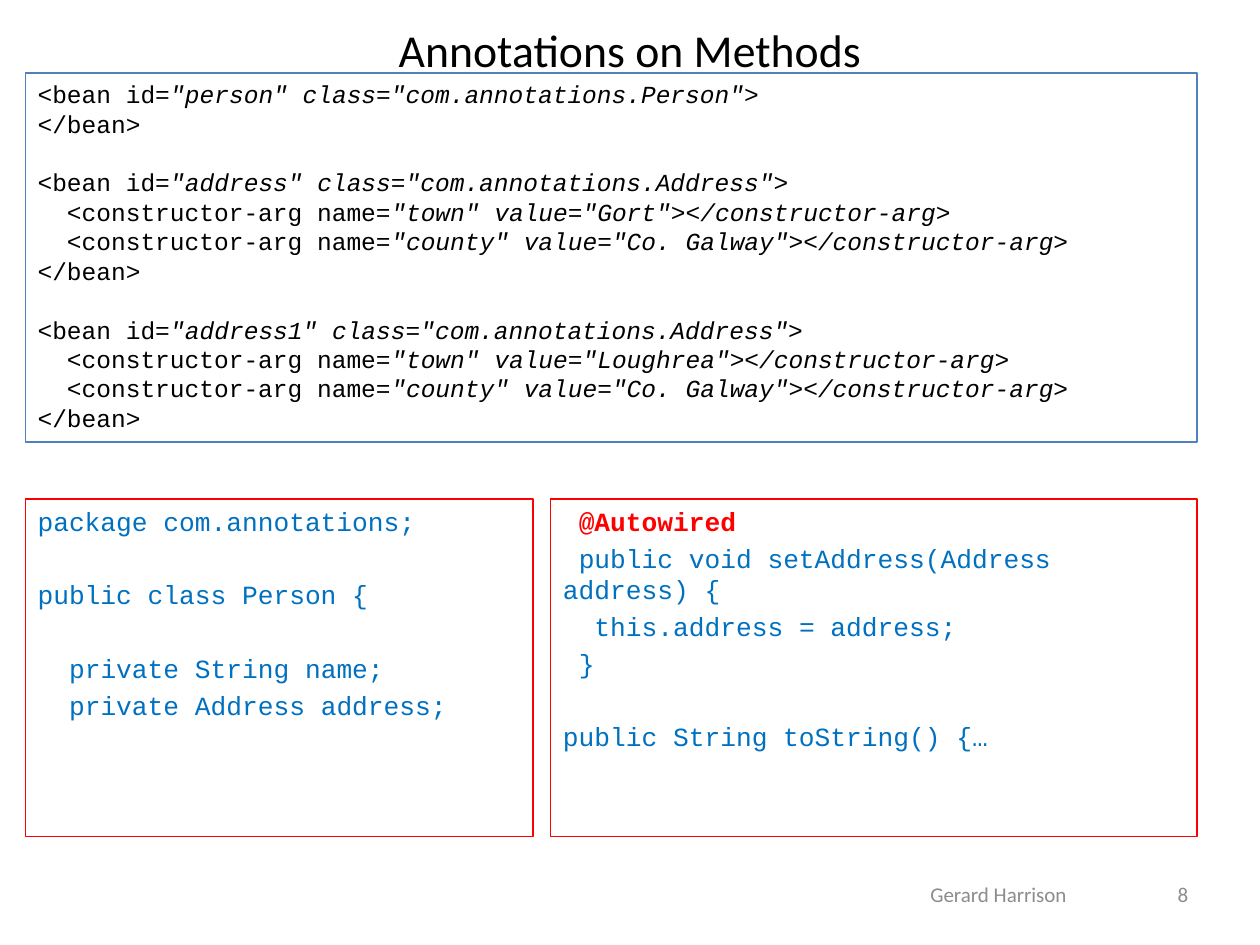
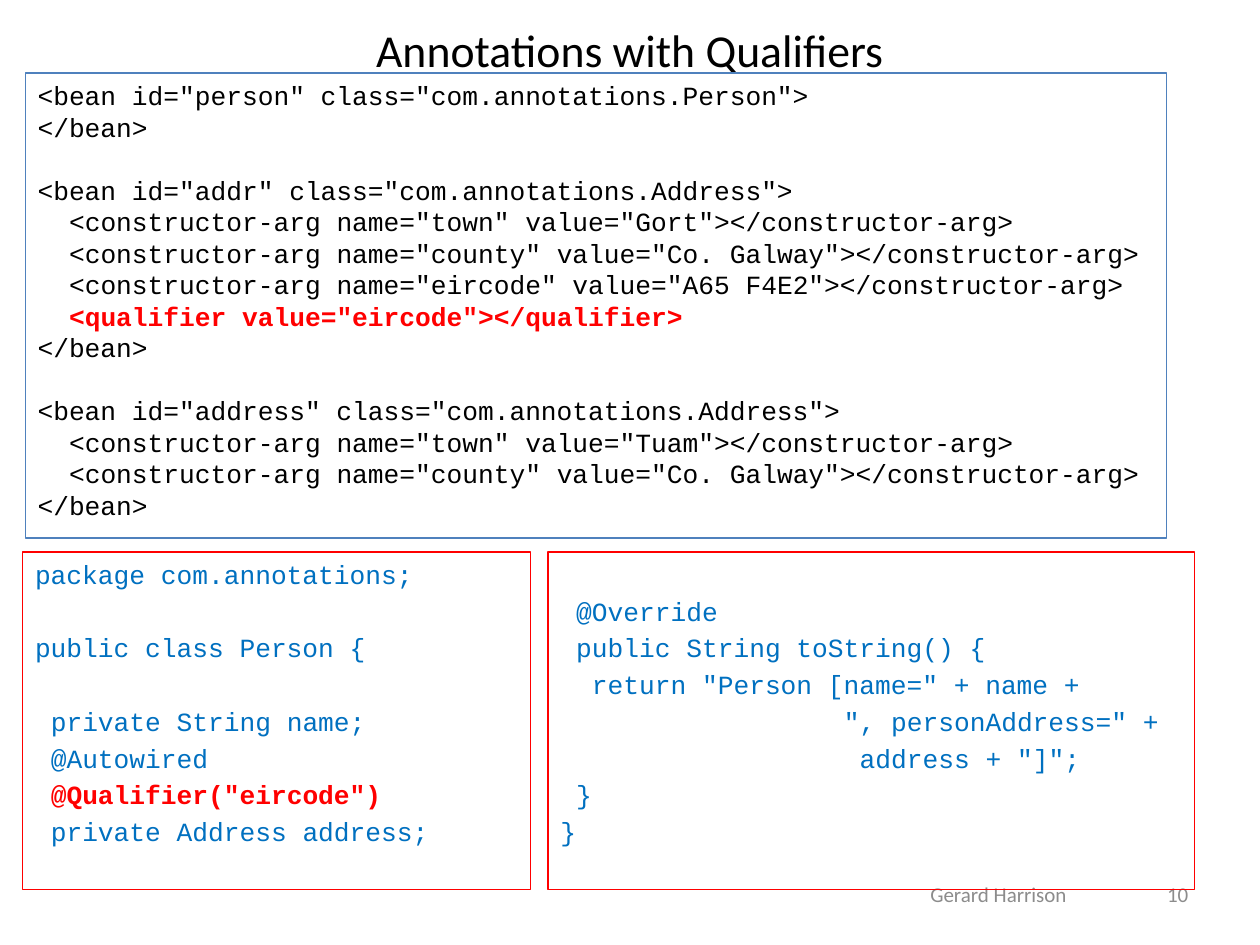
from dataclasses import dataclass

from pptx import Presentation
from pptx.dml.color import RGBColor
from pptx.enum.shapes import MSO_SHAPE
from pptx.enum.text import MSO_ANCHOR, PP_ALIGN
from pptx.slide import Slide
from pptx.text.text import Font
from pptx.util import Inches, Pt

RECT = MSO_SHAPE.RECTANGLE
TOP, MIDDLE = MSO_ANCHOR.TOP, MSO_ANCHOR.MIDDLE
LEFT, CENTER, RIGHT = PP_ALIGN.LEFT, PP_ALIGN.CENTER, PP_ALIGN.RIGHT


@dataclass(frozen=True)
class Theme:
    black: RGBColor = RGBColor(0x00, 0x00, 0x00)
    blue: RGBColor = RGBColor(0x00, 0x70, 0xC0)
    steel: RGBColor = RGBColor(0x4F, 0x81, 0xBD)
    red: RGBColor = RGBColor(0xFF, 0x00, 0x00)
    gray: RGBColor = RGBColor(0x8C, 0x8C, 0x8C)
    sans: str = "Calibri"
    mono: str = "Courier New"
    title: float = 26.1
    foot: float = 12
    code: float = 15
    small: float = 14
    row: float = 1.2    # line height, as a share of the type size
    char: float = 0.6   # width of one code letter, likewise
    edge: float = 0.75


THEME = Theme()


@dataclass(frozen=True)
class Box:
    left: float
    top: float
    width: float
    height: float


@dataclass(frozen=True)
class Style:
    line: RGBColor
    ink: RGBColor
    size: float
    lead: float = 0         # points between lines
    slant: bool = False     # marked text is italic, else bold red


@dataclass(frozen=True)
class Panel:
    box: Box
    style: Style
    code: str       # "|" starts the marked part of a line


@dataclass(frozen=True)
class Label:
    box: Box
    size: float
    ink: RGBColor
    align: PP_ALIGN


@dataclass(frozen=True)
class Page:
    title: str
    number: str
    panels: tuple[Panel, ...]


# Shared styles and places
XML = Style(THEME.steel, THEME.black, THEME.code)
XML_SLANT = Style(THEME.steel, THEME.black, THEME.small, slant=True)
JAVA = Style(THEME.red, THEME.blue, THEME.code, lead=3)

TITLE = Label(Box(0.5, 0.22, 9, 0.34), THEME.title, THEME.black, CENTER)
AUTHOR = Label(Box(6.34, 6.9, 3.17, 0.4), THEME.foot, THEME.gray, CENTER)
NUMBER = Label(Box(7.2, 6.9, 2.33, 0.4), THEME.foot, THEME.gray, RIGHT)


def java_pair(left: float, top: float, first: str, second: str) -> tuple[Panel, Panel]:
    """Two code panels side by side."""
    wide, gap, high = 4.03, 0.14, 2.68
    return (Panel(Box(left, top, wide, high), JAVA, first),
            Panel(Box(left + wide + gap, top, 5.13, high), JAVA, second))


PAGES = (
    Page("Annotations on Methods", "8", (
        Panel(Box(0.2, 0.58, 9.3, 2.93), XML_SLANT, '''\
<bean id=|"person" class="com.annotations.Person">
</bean>

<bean id=|"address" class="com.annotations.Address">
  <constructor-arg name=|"town" value="Gort"></constructor-arg>
  <constructor-arg name=|"county" value="Co. Galway"></constructor-arg>
</bean>

<bean id=|"address1" class="com.annotations.Address">
  <constructor-arg name=|"town" value="Loughrea"></constructor-arg>
  <constructor-arg name=|"county" value="Co. Galway"></constructor-arg>
</bean>'''),
        *java_pair(0.2, 3.96, '''\
package com.annotations;

public class Person {

  private String name;
  private Address address;''', '''\
 |@Autowired
 public void setAddress(Address address) {
  this.address = address;
 }

public String toString() {…'''))),
    Page("Annotations with Qualifiers", "10", (
        Panel(Box(0.2, 0.58, 9.06, 3.69), XML, '''\
<bean id="person" class="com.annotations.Person">
</bean>

<bean id="addr" class="com.annotations.Address">
  <constructor-arg name="town" value="Gort"></constructor-arg>
  <constructor-arg name="county" value="Co. Galway"></constructor-arg>
  <constructor-arg name="eircode" value="A65 F4E2"></constructor-arg>
  |<qualifier value="eircode"></qualifier>
</bean>

<bean id="address" class="com.annotations.Address">
  <constructor-arg name="town" value="Tuam"></constructor-arg>
  <constructor-arg name="county" value="Co. Galway"></constructor-arg>
</bean>'''),
        *java_pair(0.18, 4.38, '''\
package com.annotations;

public class Person {

 private String name;
 @Autowired
 |@Qualifier("eircode")
 private Address address;''', '''\

 @Override
 public String toString() {
  return "Person [name=" + name +
                  ", personAddress=" +
                   address + "]";
 }
}'''))),
)


def place(box: Box) -> tuple[Inches, Inches, Inches, Inches]:
    return Inches(box.left), Inches(box.top), Inches(box.width), Inches(box.height)


def set_font(font: Font, name: str, size: float, ink: RGBColor) -> None:
    font.name, font.size = name, Pt(size)
    font.color.rgb = ink


def draw_label(slide: Slide, label: Label, text: str) -> None:
    frame = slide.shapes.add_textbox(*place(label.box)).text_frame
    frame.word_wrap = True
    frame.vertical_anchor = MIDDLE
    frame.text = text
    para = frame.paragraphs[0]
    para.alignment = label.align
    set_font(para.runs[0].font, THEME.sans, label.size, label.ink)


def draw_panel(slide: Slide, panel: Panel) -> None:
    style = panel.style
    shape = slide.shapes.add_shape(RECT, *place(panel.box))
    shape.shadow.inherit = False
    shape.fill.background()
    shape.line.color.rgb = style.line
    shape.line.width = Pt(THEME.edge)
    frame = shape.text_frame
    frame.word_wrap = True
    frame.vertical_anchor = TOP

    # An empty code line becomes space above the next one
    space, fresh = 0.0, True
    for line in panel.code.split("\n"):
        if not line:
            space += style.size * THEME.row + style.lead
            continue
        if fresh:
            para = frame.paragraphs[0]
            frame.margin_top = Inches(0.05) + Pt(space)
        else:
            para = frame.add_paragraph()
            para.space_before = Pt(space + style.lead)
        space, fresh = 0.0, False
        para.alignment = LEFT

        # Leading blanks become a first-line indent
        text = line.lstrip()
        depth = len(line) - len(text)
        indent = Pt(depth * style.size * THEME.char)
        para._p.get_or_add_pPr().set("indent", str(indent))

        plain, _, marked = text.partition("|")
        for part, mark in ((plain, False), (marked, True)):
            if part:
                run = para.add_run()
                run.text = part
                loud = mark and not style.slant
                set_font(run.font, THEME.mono, style.size,
                         THEME.red if loud else style.ink)
                run.font.bold = loud
                run.font.italic = mark and style.slant


def main() -> None:
    deck = Presentation()
    deck.slide_width, deck.slide_height = Inches(10), Inches(7.5)
    blank = deck.slide_layouts[6]
    for page in PAGES:
        slide = deck.slides.add_slide(blank)
        draw_label(slide, TITLE, page.title)
        draw_label(slide, AUTHOR, "Gerard Harrison")
        draw_label(slide, NUMBER, page.number)
        for panel in page.panels:
            draw_panel(slide, panel)
    deck.save("out.pptx")


if __name__ == "__main__":
    main()
